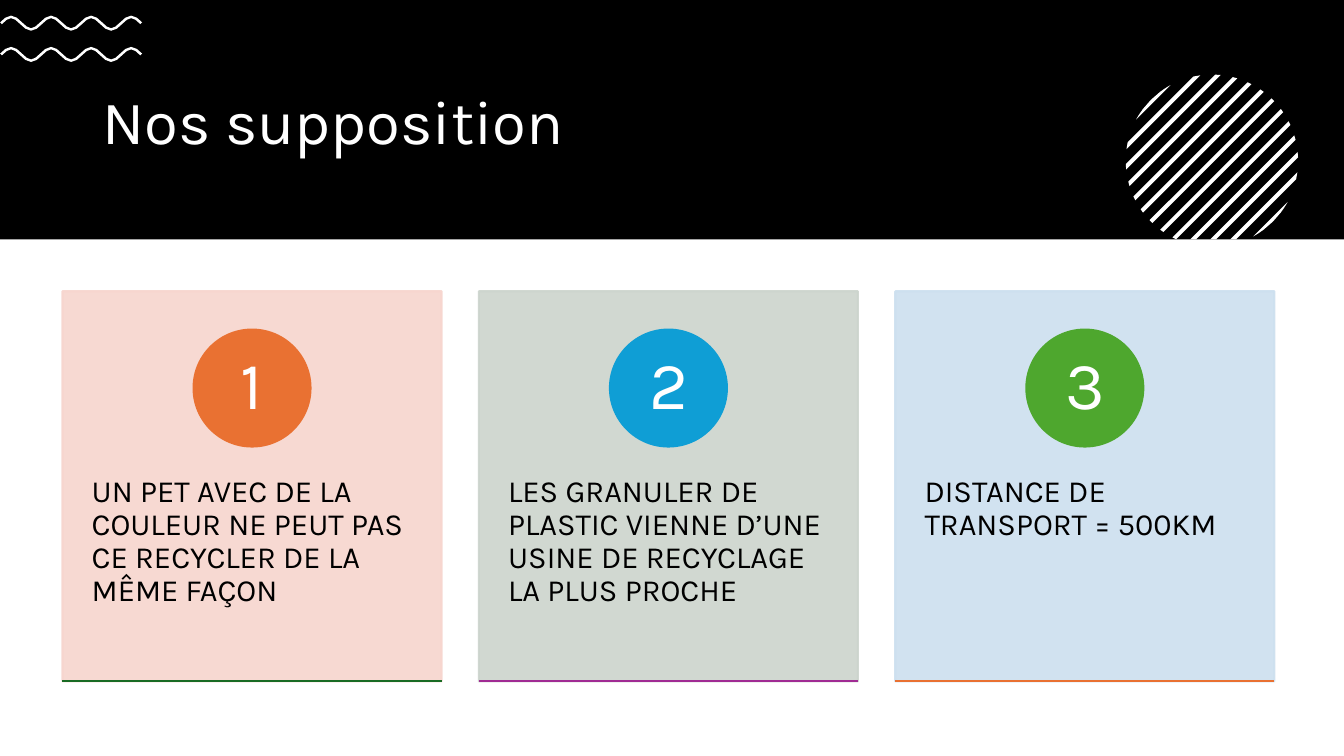
from math import cos, pi, sin, sqrt

from lxml.etree import SubElement
from pptx import Presentation
from pptx.dml.color import RGBColor
from pptx.enum.shapes import MSO_CONNECTOR as Connector, MSO_SHAPE as Shape
from pptx.enum.text import MSO_ANCHOR as Anchor, MSO_AUTO_SIZE as AutoSize, PP_ALIGN as Align
from pptx.oxml.ns import qn
from pptx.util import Inches, Pt

BLACK, WHITE = "000000", "FFFFFF"
HEADER_HEIGHT = 2.375
CARD_LEFT, CARD_TOP, CARD_WIDTH, CARD_HEIGHT, CARD_PITCH = 0.62, 2.89, 3.76, 3.87, 4.13
CIRCLE_SIZE, NUMBER_SIZE = 1.16, 0.82
CARDS = [
    ("UN PET AVEC DE LA COULEUR NE PEUT PAS CE RECYCLER DE LA MÊME FAÇON",
     "F7D5CE", "E97132", "196B24"),
    ("LES GRANULER DE PLASTIC VIENNE D’UNE USINE DE RECYCLAGE LA PLUS PROCHE",
     "CCD4CD", "0F9ED5", "A02B93"),
    ("DISTANCE DE TRANSPORT = 500KM", "CCDFEF", "4EA72E", "E97132"),
]


def color(value):
    return RGBColor.from_string(value)


class SlideBuilder:
    """Draws styled elements on the current slide."""

    def __init__(self, slide, font="Karla", line_width=1.5):
        self.slide = slide
        self.font = font
        self.line_width = line_width

    def paint(self, shape, fill, outlined, opacity):
        shape.shadow.inherit = False
        shape.fill.solid()
        shape.fill.fore_color.rgb = color(fill)
        if outlined:
            shape.line.color.rgb = color(fill)
            shape.line.width = Pt(self.line_width)
        else:
            shape.line.fill.background()
        if opacity < 100:
            for tint in shape._element.spPr.iter(qn("a:srgbClr")):
                SubElement(tint, qn("a:alpha"), val=str(opacity * 1000))

    def shape(self, kind, left, top, width, height, fill, outlined=True, opacity=100):
        shape = self.slide.shapes.add_shape(
            kind, Inches(left), Inches(top), Inches(width), Inches(height))
        self.paint(shape, fill, outlined, opacity)

    def outline(self, points, fill):
        corners = [(Inches(x), Inches(y)) for x, y in points]
        builder = self.slide.shapes.build_freeform(*corners[0], scale=1.0)
        builder.add_line_segments(corners[1:], close=True)
        self.paint(builder.convert_to_shape(), fill, False, 100)

    def rule(self, left, top, width, stroke):
        line = self.slide.shapes.add_connector(
            Connector.STRAIGHT, Inches(left), Inches(top), Inches(left + width), Inches(top))
        line.line.color.rgb = color(stroke)
        line.line.width = Pt(self.line_width)
        SubElement(line._element.spPr, qn("a:effectLst"))

    def text(self, text, left, top, width, height, *, size, fill=BLACK,
             align=Align.LEFT, anchor=Anchor.TOP, inset=(0.1, 0.05), fit=AutoSize.NONE):
        box = self.slide.shapes.add_textbox(
            Inches(left), Inches(top), Inches(width), Inches(height))
        frame = box.text_frame
        frame.word_wrap = True
        frame.auto_size = fit
        frame.vertical_anchor = anchor
        frame.margin_left = frame.margin_right = Inches(inset[0])
        frame.margin_top = frame.margin_bottom = Inches(inset[1])
        paragraph = frame.paragraphs[0]
        paragraph.text = text
        paragraph.alignment = align
        paragraph.line_spacing = 0.9
        paragraph.font.name = self.font
        paragraph.font.size = Pt(size)
        paragraph.font.color.rgb = color(fill)


def wave_points(middle, left=0.01, right=1.4, crest=0.11, period=0.397,
                amplitude=0.0625, thickness=0.025, steps=28):
    upper, lower = [], []
    for step in range(steps + 1):
        x = left + (right - left) * step / steps
        angle = 2 * pi * (x - crest) / period
        y = middle - amplitude * cos(angle)
        slope = amplitude * 2 * pi / period * sin(angle)
        reach = thickness / 2 / sqrt(1 + slope ** 2)
        upper.append((x + slope * reach, y - reach))
        lower.append((x - slope * reach, y + reach))
    return upper + lower[::-1]


def stripe_points(offset, center_x=12.02, center_y=1.595, radius=0.855, half_width=0.02):
    start = max(offset - half_width, -radius)
    end = min(offset + half_width, radius)
    steps = 4 if radius in (-start, end) else 1
    upper, lower = [], []
    for step in range(steps + 1):
        distance = start + (end - start) * step / steps
        shift = sqrt(max(radius ** 2 - distance ** 2, 0) / 2)
        x, y = center_x + distance / sqrt(2), center_y + distance / sqrt(2)
        drop = min(shift, HEADER_HEIGHT - y)
        upper.append((x + shift, y - shift))
        lower.append((x - drop, y + drop))
    return upper + lower[::-1]


def main():
    presentation = Presentation()
    presentation.slide_width, presentation.slide_height = Inches(13.33), Inches(7.5)
    builder = SlideBuilder(presentation.slides.add_slide(presentation.slide_layouts[6]))

    builder.shape(Shape.RECTANGLE, 0, 0, 13.33, HEADER_HEIGHT, BLACK, outlined=False)
    builder.text("Nos supposition", 0.92, 0.62, 11.5, 1.23,
                 size=44, fill=WHITE, anchor=Anchor.MIDDLE)
    for middle in (0.54, 0.23):
        builder.outline(wave_points(middle), WHITE)
    for index in range(-6, 7):
        builder.outline(stripe_points(index * 0.14), WHITE)

    for index, (text, background, accent, base) in enumerate(CARDS):
        left = CARD_LEFT + index * CARD_PITCH
        middle = left + CARD_WIDTH / 2
        builder.shape(Shape.RECTANGLE, left, CARD_TOP, CARD_WIDTH, CARD_HEIGHT,
                      background, opacity=90)
        builder.text(text, left, 4.36, CARD_WIDTH, 2.32, size=22, inset=(0.29, 0.36),
                     fit=AutoSize.TEXT_TO_FIT_SHAPE)
        builder.shape(Shape.OVAL, middle - CIRCLE_SIZE / 2, 3.27,
                      CIRCLE_SIZE, CIRCLE_SIZE, accent)
        builder.text(str(index + 1), middle - NUMBER_SIZE / 2, 3.44, NUMBER_SIZE, NUMBER_SIZE,
                     size=48, fill=WHITE, align=Align.CENTER,
                     anchor=Anchor.MIDDLE, inset=(0.09, 0.01))
        builder.rule(left, CARD_TOP + CARD_HEIGHT, CARD_WIDTH, base)

    presentation.save("out.pptx")


if __name__ == "__main__":
    main()
